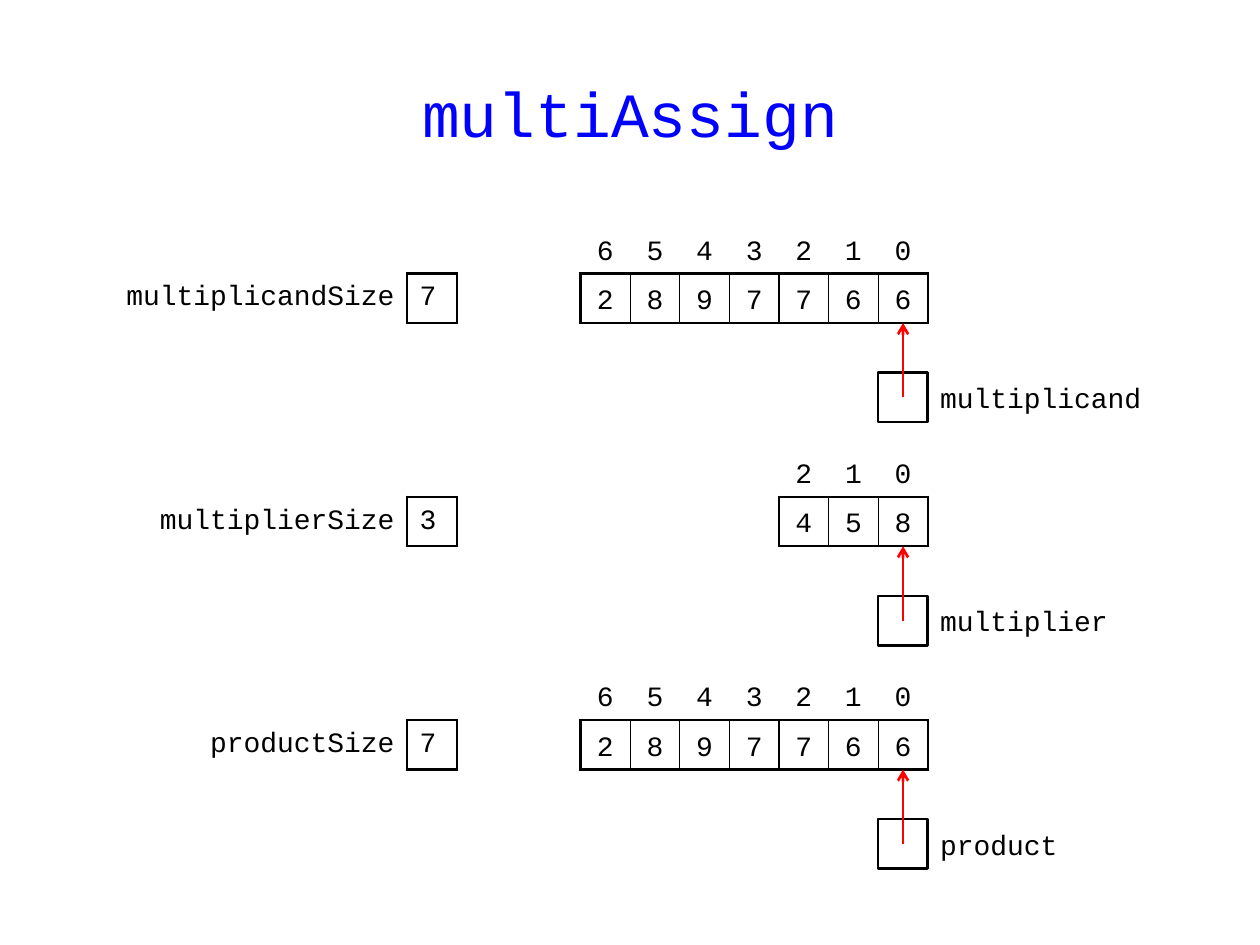
from lxml import etree
from pptx import Presentation
from pptx.dml.color import RGBColor
from pptx.enum.shapes import MSO_CONNECTOR, MSO_SHAPE
from pptx.enum.text import MSO_ANCHOR, PP_ALIGN
from pptx.oxml.ns import qn
from pptx.util import Pt

LEFT, MID, RIGHT = PP_ALIGN.LEFT, PP_ALIGN.CENTER, PP_ALIGN.RIGHT
MIDDLE = MSO_ANCHOR.MIDDLE
RECT, LINE = MSO_SHAPE.RECTANGLE, MSO_CONNECTOR.STRAIGHT
BLACK = RGBColor(0, 0, 0)
WHITE = RGBColor(255, 255, 255)
BLUE = RGBColor(0, 0, 255)
RED = RGBColor(255, 0, 0)
FONT = "Courier New"
THICK, THIN = 1.5, 0.75

TITLE = "multiAssign"
ROWS = [
    {"name": "multiplicand", "digits": "2897766", "label": 6, "note": 5},
    {"name": "multiplier", "digits": "458", "label": 5.5, "note": 4},
    {"name": "product", "digits": "2897766", "label": 4.5, "note": 3},
]

UNIT = 28.35
TOP = 127.9
PITCH = 4.5 * UNIT
EDGE = 530.2
SIZE_EDGE = 261

deck = Presentation()
deck.slide_width, deck.slide_height = Pt(720), Pt(540)
slide = deck.slides.add_slide(deck.slide_layouts[6])
shapes = slide.shapes


def write(frame, text, align, size=16, color=BLACK, gap=None):
    para = frame.paragraphs[0]
    para.alignment = align
    if gap:
        space = etree.SubElement(para._p.get_or_add_pPr(), qn("a:spcBef"))
        etree.SubElement(space, qn("a:spcPct"), val=str(gap * 1000))
    run = para.add_run()
    run.text = text
    run.font.name, run.font.size = FONT, Pt(size)
    run.font.color.rgb = color
    return para


def add_text(box, text, align, pads, **style):
    frame = shapes.add_textbox(*map(Pt, box)).text_frame
    frame.word_wrap = True
    frame.vertical_anchor = MIDDLE
    frame.margin_left, frame.margin_top, frame.margin_right, frame.margin_bottom = map(Pt, pads)
    write(frame, text, align, **style)


def add_grid(right, top, widths, count):
    total = sum(widths)
    frame = shapes.add_table(count, len(widths), Pt(right - total), Pt(top),
                             Pt(total), Pt(count * UNIT))
    grid = frame.table
    grid.first_row = grid.horz_banding = False
    for col, width in zip(grid.columns, widths):
        col.width = Pt(width)
    for row in grid.rows:
        row.height = Pt(UNIT)
    return grid


def style_cell(cell, side, ends, **edges):
    cell.margin_left = cell.margin_right = Pt(side)
    cell.margin_top = cell.margin_bottom = Pt(ends)
    cell.vertical_anchor = MIDDLE
    props = cell._tc.get_or_add_tcPr()
    for key in "LRTB":
        width = edges.get(key, 0)
        line = etree.SubElement(props, qn("a:ln" + key), w=str(int(Pt(width))))
        if width:
            fill = etree.SubElement(line, qn("a:solidFill"))
            etree.SubElement(fill, qn("a:srgbClr"), val=str(BLACK))
        else:
            etree.SubElement(line, qn("a:noFill"))
    cell.fill.background()


def add_digits(top, digits):
    last = len(digits) - 1
    grid = add_grid(EDGE, top, [UNIT] * len(digits), 2)
    for i, digit in enumerate(digits):
        head, body = grid.cell(0, i), grid.cell(1, i)
        style_cell(head, 7.2, 1.44, B=THICK)
        style_cell(body, 2.88, 1.44, T=THICK, B=THICK,
                   L=THIN if i else THICK, R=THIN if i < last else THICK)
        for cell, text in ((head, str(last - i)), (body, digit)):
            write(cell.text_frame, text, MID).line_spacing = 1.25


def add_size(top, name, count, units):
    grid = add_grid(SIZE_EDGE, top, [units * UNIT, UNIT], 1)
    label, value = grid.cell(0, 0), grid.cell(0, 1)
    style_cell(label, 7.2, 2.88, R=THICK)
    style_cell(value, 7.2, 2.88, L=THICK, R=THICK, T=THICK, B=THICK)
    write(label.text_frame, name + "Size", RIGHT, gap=50)
    write(value.text_frame, str(count), LEFT, gap=50)


def add_pointer(top, name, units):
    add_text((EDGE, top, units * UNIT, UNIT), name, LEFT, (7.2, 0, 5.76, 0), gap=50)
    box = shapes.add_shape(RECT, Pt(EDGE - UNIT), Pt(top), Pt(UNIT), Pt(UNIT))
    box.shadow.inherit = False
    box.fill.solid()
    box.fill.fore_color.rgb = WHITE
    box.line.color.rgb = BLACK
    box.line.width = Pt(THICK)
    mid = EDGE - UNIT / 2
    arrow = shapes.add_connector(LINE, Pt(mid), Pt(top + UNIT / 2), Pt(mid), Pt(top - UNIT))
    arrow.line.color.rgb = RED
    arrow.line.width = Pt(THICK)
    etree.SubElement(arrow.line._get_or_add_ln(), qn("a:tailEnd"), type="arrow")
    etree.SubElement(arrow._element.spPr, qn("a:effectLst"))


add_text((20, 28.8, 680, 70.6), TITLE, MID, (7.2, 3.6, 7.2, 3.6), size=36, color=BLUE)
for i, row in enumerate(ROWS):
    top = TOP + i * PITCH
    add_digits(top, row["digits"])
    add_size(top + UNIT, row["name"], len(row["digits"]), row["label"])
    add_pointer(top + 3 * UNIT, row["name"], row["note"])

deck.save("out.pptx")
